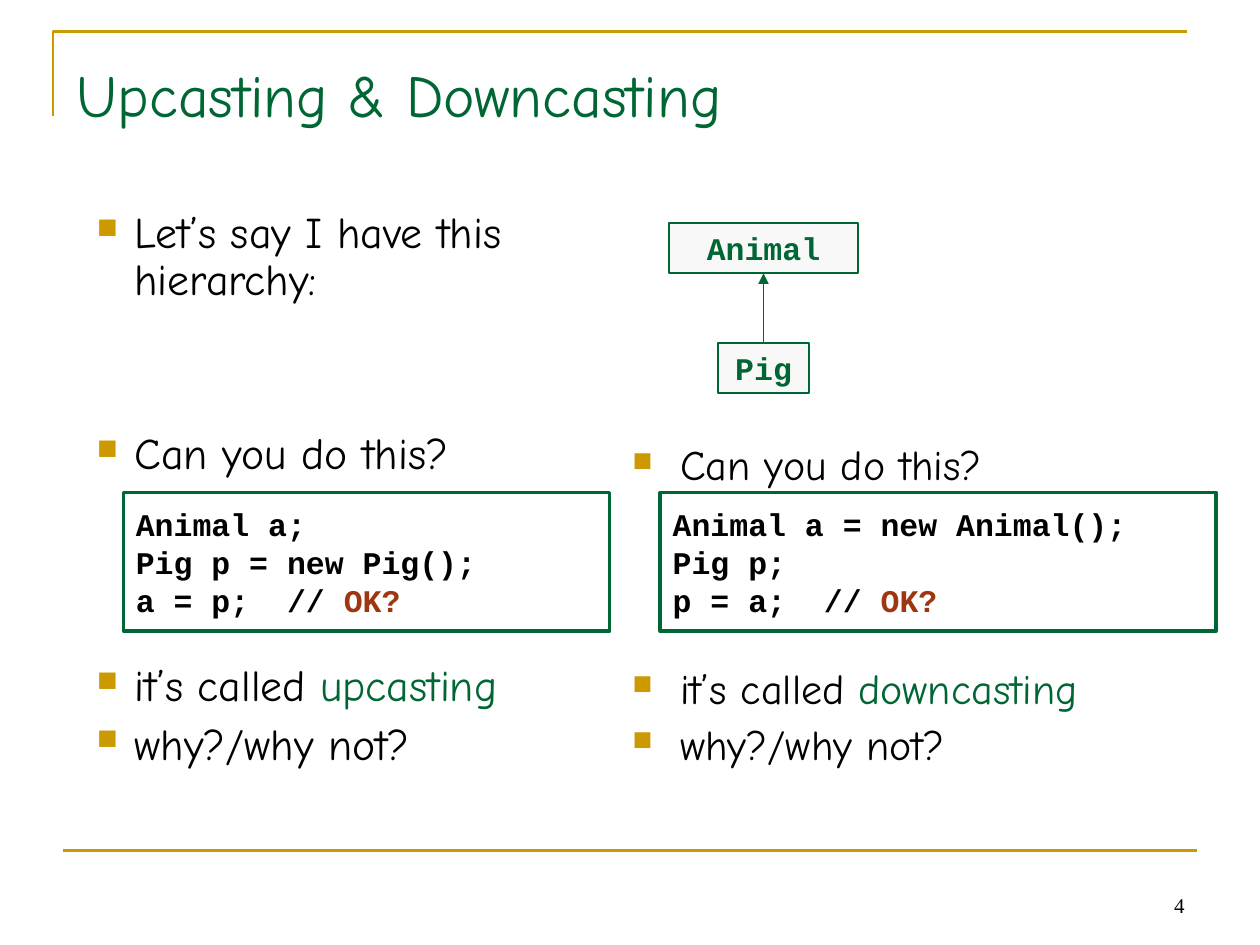
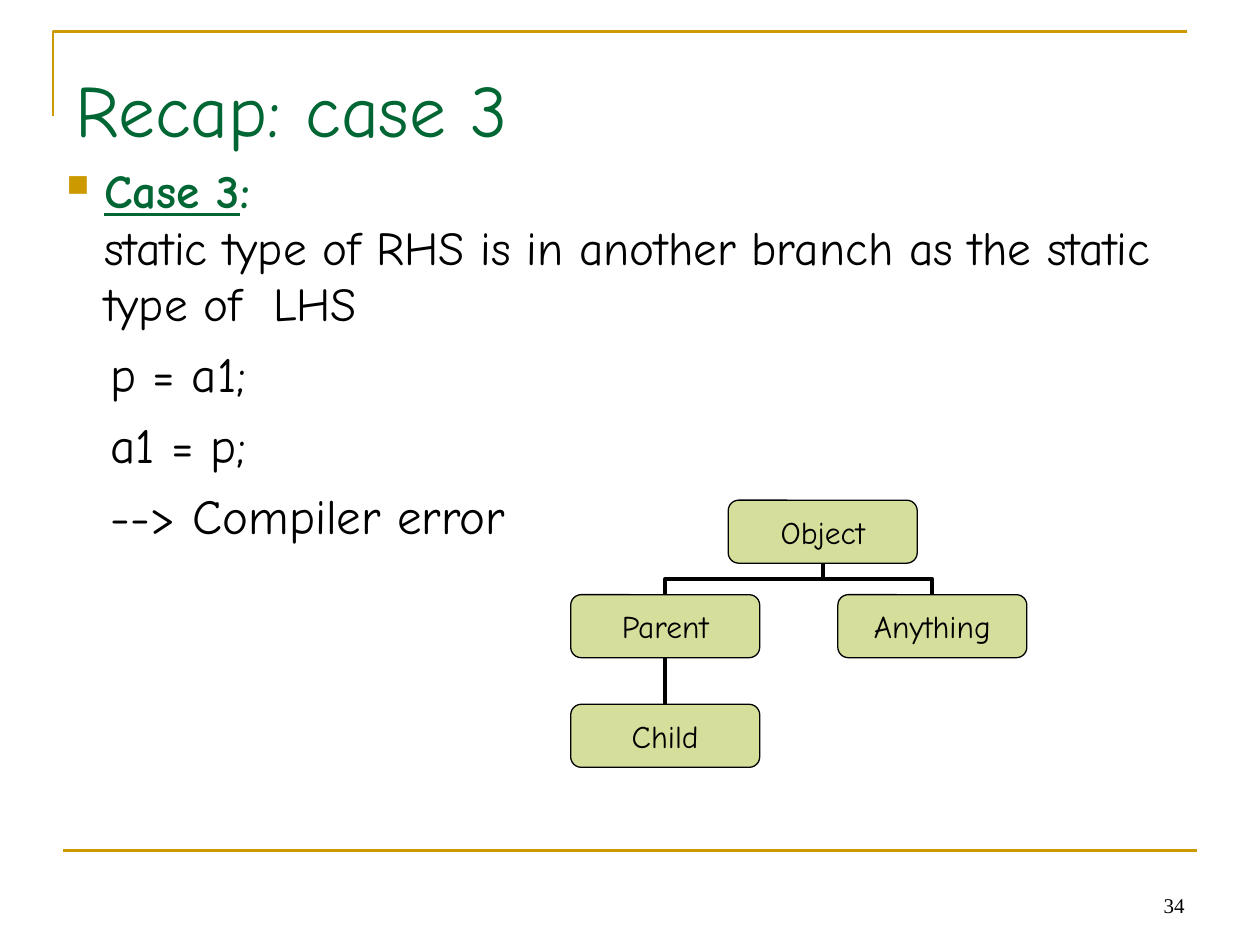
"""Build two slides on casting along a class hierarchy."""
import pptx
import pptx.dml.color
import pptx.enum.shapes
import pptx.enum.text
import pptx.oxml.ns
import pptx.util
from lxml import etree

Inches = pptx.util.Inches
Pt = pptx.util.Pt
RGBColor = pptx.dml.color.RGBColor
Shape = pptx.enum.shapes.MSO_SHAPE
Connector = pptx.enum.shapes.MSO_CONNECTOR
Align = pptx.enum.text.PP_ALIGN
Anchor = pptx.enum.text.MSO_ANCHOR
qn = pptx.oxml.ns.qn

GREEN = RGBColor(0x00, 0x66, 0x33)
GOLD = RGBColor(0xCC, 0x99, 0x00)
RUST = RGBColor(0x9E, 0x36, 0x11)
OLIVE = RGBColor(0xAF, 0xBF, 0x39)
PALE = RGBColor(0xF8, 0xF8, 0xF8)
BLACK = RGBColor(0x00, 0x00, 0x00)
BODY, CODE, NUMBER = "Comic Neue", "Courier New", "Times New Roman"
BULLET = "■"
LINE_RATIO = 1.08

CASTING = {
    "title": ("Upcasting & Downcasting", 34, (0.51, 0.36, 8.5, 0.77)),
    "number": "4",
    "classes": {
        "Animal": (5.31, 1.77, 1.5, 0.4),
        "Pig": (5.7, 2.72, 0.72, 0.4),
    },
    "columns": [
        {
            "at": (0.67, 1.62, 4.42, 4.95), "size": 25, "before": 6.2, "indent": 0.3,
            "points": [
                (0, [("Let’s say I have this hierarchy:", {})]),
                (2, [("Can you do this?", {})]),
                (3, [("it’s called ", {}), ("upcasting", {"color": GREEN})]),
                (0, [("why?/why not?", {})]),
            ],
            "code_at": (0.98, 3.91, 3.86, 1.1),
            "code": ["Animal a;", "Pig p = new Pig();", "a = p;  // "],
        },
        {
            "at": (4.92, 3.48, 5.08, 3.05), "size": 24, "before": 6, "indent": 0.38,
            "points": [
                (0, [("Can you do this?", {})]),
                (3, [("it’s called ", {}), ("downcasting", {"color": GREEN})]),
                (0, [("why?/why not?", {})]),
            ],
            "code_at": (5.24, 3.91, 4.41, 1.1),
            "code": ["Animal a = new Animal();", "Pig p;", "p = a;  // "],
        },
    ],
    "question": "OK?",
}

RECAP = {
    "title": ("Recap: case 3", 42, (0.5, 0.3, 9, 1.01)),
    "number": "34",
    "at": (0.43, 1.23, 9, 4.96),
    "case": [
        ("Case 3", {"color": GREEN, "bold": True, "underline": True}),
        (":", {"color": GREEN, "bold": True}),
        ("\n", {}),
        ("static type of RHS is in another branch as the static type of  LHS", {}),
    ],
    "statements": ["p = a1;", "a1 = p;", "--> Compiler error"],
    "class_size": (1.5, 0.5),
    "classes": {
        "Object": (5.78, 3.97),
        "Parent": (4.53, 4.72),
        "Child": (4.53, 5.59),
        "Anything": (6.65, 4.72),
    },
    "inherits": [("Object", "Parent"), ("Object", "Anything"), ("Parent", "Child")],
}


def inches(values):
    return [Inches(value) for value in values]


def style(font, size=None, name=None, color=None, bold=None, underline=None):
    if size:
        font.size = Pt(size)
    if name:
        font.name = name
    if color is not None:
        font.color.rgb = color
    if bold is not None:
        font.bold = bold
    if underline is not None:
        font.underline = underline


def write(paragraph, runs, before=0, spacing=None, margin=0, indent=0,
          bullet=False, align=Align.LEFT, **font):
    properties = paragraph._p.get_or_add_pPr()
    properties.set("marL", str(Inches(margin)))
    properties.set("indent", str(Inches(indent)))
    if bullet:
        color = etree.SubElement(properties, qn("a:buClr"))
        etree.SubElement(color, qn("a:srgbClr"), val=str(GOLD))
        etree.SubElement(properties, qn("a:buSzPct"), val="65000")
        etree.SubElement(properties, qn("a:buChar"), char=BULLET)
    paragraph.alignment = align
    paragraph.space_before = Pt(before)
    if spacing:
        paragraph.line_spacing = spacing
    style(paragraph.font, **font)
    for text, look in runs:
        if text == "\n":
            paragraph.add_line_break()
        else:
            run = paragraph.add_run()
            run.text = text
            style(run.font, **look)


def paragraphs(frame, count):
    return [frame.paragraphs[0]] + [frame.add_paragraph() for _ in range(count - 1)]


def add_text(slide, at):
    frame = slide.shapes.add_textbox(*inches(at)).text_frame
    frame.word_wrap = True
    return frame


def add_box(slide, kind, at, fill, line, width):
    box = slide.shapes.add_shape(kind, *inches(at))
    box.shadow.inherit = False
    if fill is None:
        box.fill.background()
    else:
        box.fill.solid()
        box.fill.fore_color.rgb = fill
    box.line.color.rgb = line
    box.line.width = Pt(width)
    box.text_frame.word_wrap = True
    box.text_frame.vertical_anchor = Anchor.MIDDLE
    return box


def add_line(slide, kind, points, color, width):
    line = slide.shapes.add_connector(kind, *inches(points))
    line.line.color.rgb = color
    line.line.width = Pt(width)
    etree.SubElement(line._element.spPr, qn("a:effectLst"))
    return line


def link(slide, kind, start, start_side, end, end_side, color, width):
    line = add_line(slide, kind, (0, 0, 1, 1), color, width)
    line.begin_connect(start, start_side)
    line.end_connect(end, end_side)
    return line


def turn_downward(elbow):
    across, down = elbow.end_x - elbow.begin_x, elbow.end_y - elbow.begin_y
    center_x = (elbow.begin_x + elbow.end_x) // 2
    center_y = (elbow.begin_y + elbow.end_y) // 2
    elbow.width, elbow.height = down, abs(across)
    elbow.left, elbow.top = center_x - down // 2, center_y - abs(across) // 2
    frame = elbow._element.spPr.find(qn("a:xfrm"))
    frame.set("rot", "16200000" if across > 0 else "5400000")
    frame.set("flipH", "1" if across > 0 else "0")


def start_slide(deck, content):
    slide = deck.slides.add_slide(deck.slide_layouts[5])
    corner = slide.shapes.build_freeform(Inches(0.42), Inches(0.92))
    corner.add_line_segments([inches((0.42, 0.25)), inches((9.42, 0.25))], close=False)
    bracket = corner.convert_to_shape()
    bracket.shadow.inherit = False
    bracket.fill.background()
    bracket.line.color.rgb = GOLD
    bracket.line.width = Pt(1.5)
    add_line(slide, Connector.STRAIGHT, (0.5, 6.75, 9.5, 6.75), GOLD, 1.5)

    number = add_text(slide, (7.17, 6.83, 2.33, 0.5))
    number.vertical_anchor = Anchor.BOTTOM
    write(number.paragraphs[0], [(content["number"], {})], align=Align.RIGHT,
          size=12, name=NUMBER, color=BLACK)

    text, size, at = content["title"]
    title = slide.shapes.title
    title.left, title.top, title.width, title.height = inches(at)
    frame = title.text_frame
    frame.auto_size = pptx.enum.text.MSO_AUTO_SIZE.NONE
    frame.word_wrap = True
    frame.vertical_anchor = Anchor.BOTTOM
    frame.margin_bottom = Inches(0.1)
    write(frame.paragraphs[0], [(text, {})], size=size, name=BODY, color=GREEN)
    return slide


def build_casting(deck):
    slide = start_slide(deck, CASTING)
    boxes = {}
    for name, at in CASTING["classes"].items():
        boxes[name] = add_box(slide, Shape.RECTANGLE, at, PALE, GREEN, 1)
        write(boxes[name].text_frame.paragraphs[0], [(name, {})], align=Align.CENTER,
              size=18, name=CODE, color=GREEN, bold=True)
    arrow = link(slide, Connector.STRAIGHT, boxes["Pig"], 0, boxes["Animal"], 2, GREEN, 1)
    etree.SubElement(arrow.line._get_or_add_ln(), qn("a:tailEnd"), type="triangle")

    for column in CASTING["columns"]:
        points, size, before = column["points"], column["size"], column["before"]
        frame = add_text(slide, column["at"])
        for index, paragraph in enumerate(paragraphs(frame, len(points))):
            skipped, runs = points[index]
            gap = before + skipped * (before + LINE_RATIO * size) if index else 0
            write(paragraph, runs, before=round(gap, 1), spacing=0.9,
                  margin=column["indent"], indent=-column["indent"], bullet=True,
                  size=size, name=BODY, color=BLACK)

        code = [[(line, {})] for line in column["code"]]
        code[-1].append((CASTING["question"], {"color": RUST}))
        listing = add_box(slide, Shape.RECTANGLE, column["code_at"], None, GREEN, 2)
        for paragraph, runs in zip(paragraphs(listing.text_frame, len(code)), code):
            write(paragraph, runs, size=18, name=CODE, color=BLACK, bold=True)


def build_recap(deck):
    slide = start_slide(deck, RECAP)
    statements = RECAP["statements"]
    case, *rest = paragraphs(add_text(slide, RECAP["at"]), 1 + len(statements))
    write(case, RECAP["case"], margin=0.3, indent=-0.3, bullet=True,
          size=27, name=BODY, color=BLACK)
    for paragraph, statement in zip(rest, statements):
        write(paragraph, [(statement, {})], before=7, margin=0.6, indent=-0.25,
              size=28, name=BODY, color=BLACK)

    boxes = {}
    for name, corner in RECAP["classes"].items():
        box = add_box(slide, Shape.ROUNDED_RECTANGLE, corner + RECAP["class_size"],
                      OLIVE, BLACK, 0.75)
        fill = box._element.spPr.find(qn("a:solidFill"))
        etree.SubElement(fill[0], qn("a:alpha"), val="50000")
        write(box.text_frame.paragraphs[0], [(name, {})], align=Align.CENTER,
              size=18, name=BODY, color=BLACK)
        boxes[name] = box
    for parent, child in RECAP["inherits"]:
        upper, lower = boxes[parent], boxes[child]
        straight = upper.left == lower.left
        kind = Connector.STRAIGHT if straight else Connector.ELBOW
        line = link(slide, kind, upper, 2, lower, 0, BLACK, 2.25)
        if not straight:
            turn_downward(line)


def main():
    deck = pptx.Presentation()
    deck.slide_width, deck.slide_height = Inches(10), Inches(7.5)
    build_casting(deck)
    build_recap(deck)
    deck.save("out.pptx")


if __name__ == "__main__":
    main()
